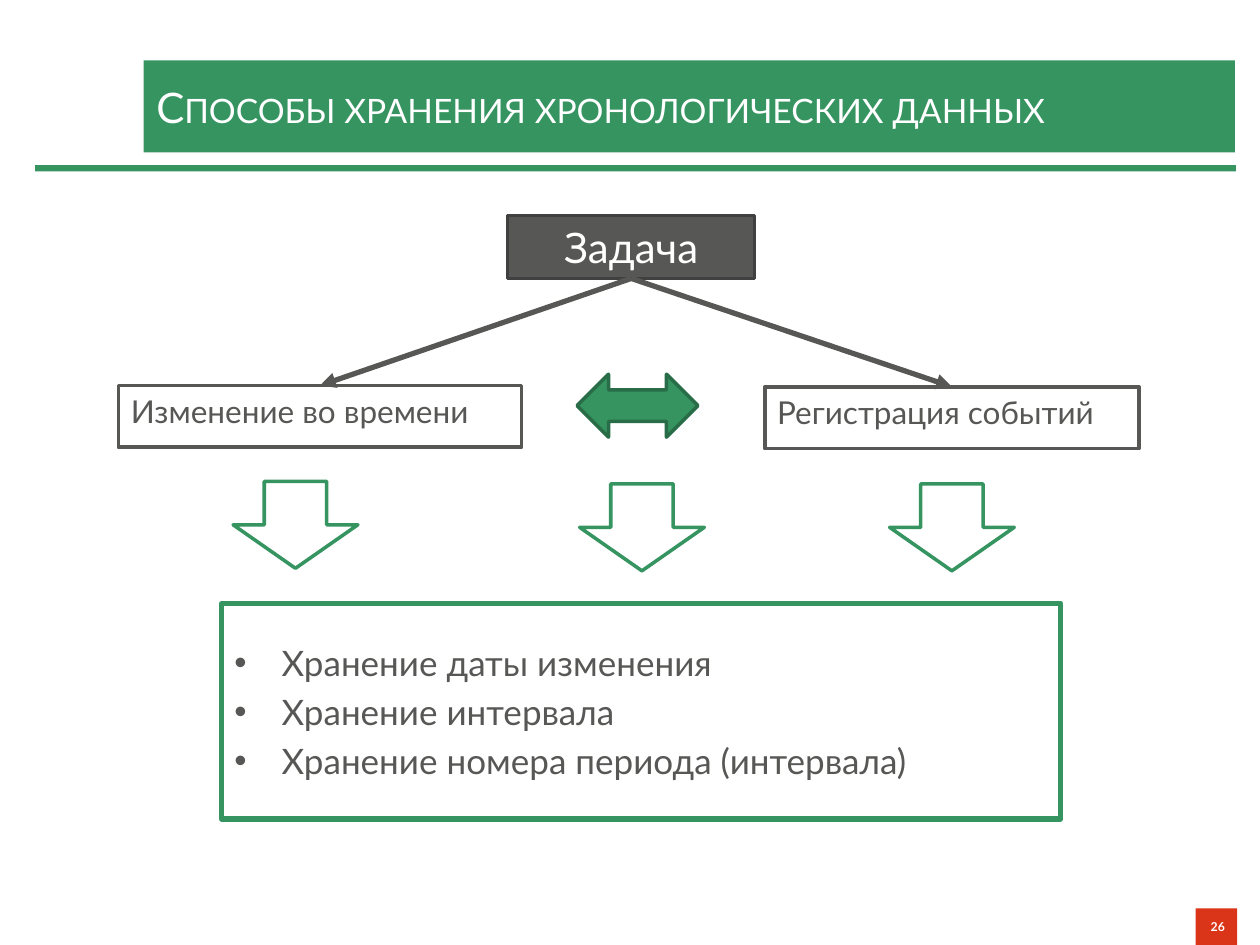
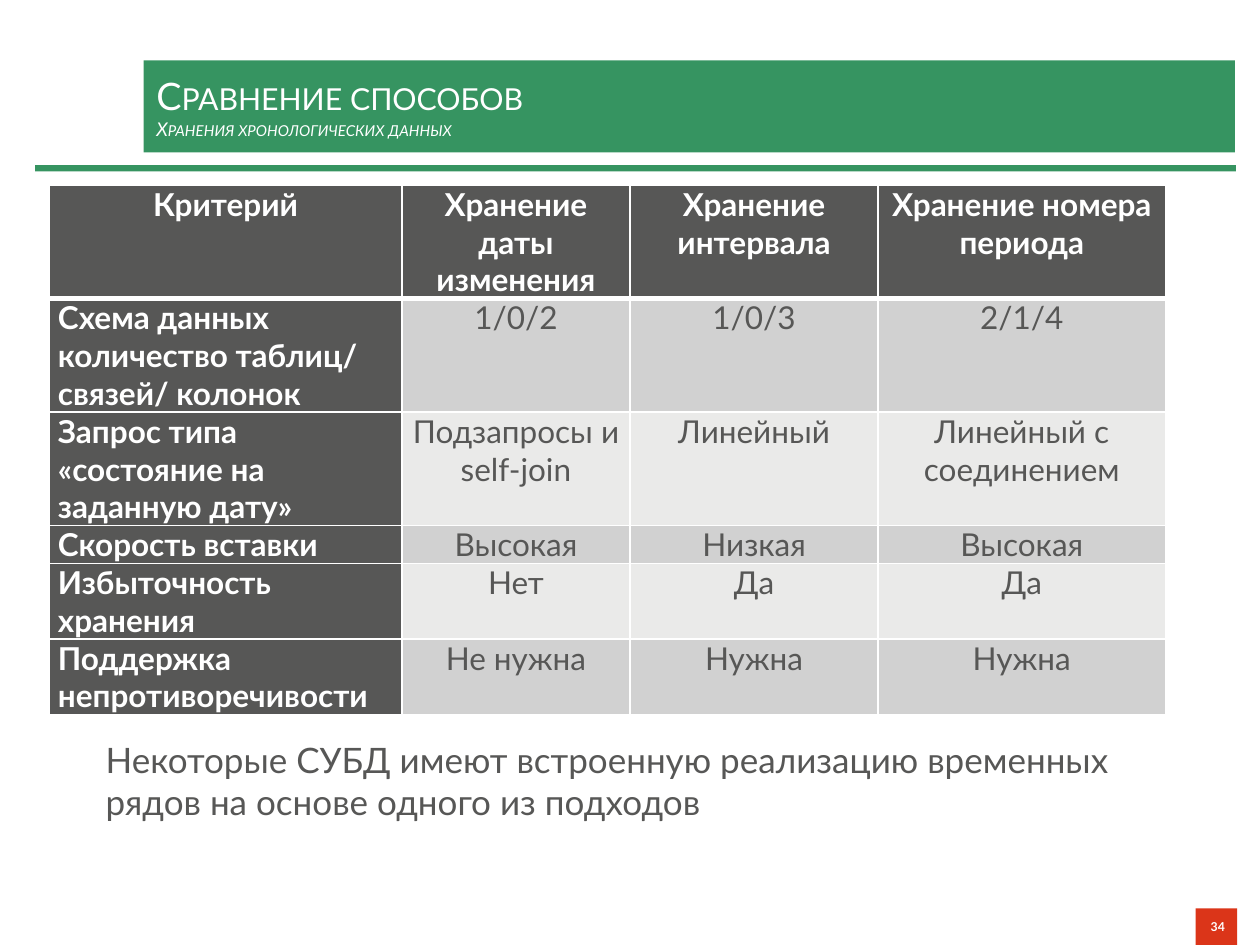
from dataclasses import dataclass

from lxml import etree
from pptx import Presentation, util as u
from pptx.dml import color
from pptx.enum import shapes, text
from pptx.oxml import ns

FONT = "Lato"
COLORS = {
    "green": "369461",
    "dark_green": "286D48",
    "gray": "575756",
    "dark_gray": "404040",
    "white": "FFFFFF",
    "red": "DB3519",
    "band_dark": "D1D1D1",
    "band_light": "EAEAE9",
}
LEFT, CENTER, RIGHT = text.PP_ALIGN.LEFT, text.PP_ALIGN.CENTER, text.PP_ALIGN.RIGHT
TITLE_AND_CONTENT, TITLE_ONLY = 1, 5


@dataclass(frozen=True)
class Area:
    left: float
    top: float
    width: float
    height: float

    def lengths(self) -> list:
        return [u.Inches(n) for n in (self.left, self.top, self.width, self.height)]


@dataclass(frozen=True)
class Block:
    area: Area
    fill: str
    line: str | None = None
    kind: shapes.MSO_SHAPE = shapes.MSO_SHAPE.RECTANGLE
    line_width: float = 2


@dataclass(frozen=True)
class Label:
    words: str
    size: float
    color: str
    align: text.PP_ALIGN = LEFT
    bold: bool = False


RULE = Block(Area(0.28, 1.31, 9.53, 0.05), "green")
TITLE_AREA = Area(1.14, 0.48, 8.66, 0.73)
NUMBER_BOX = Block(Area(9.49, 7.21, 0.33, 0.29), "red")

TASK_BOX = Block(Area(4.03, 1.71, 1.96, 0.5), "gray", "dark_gray")
KIND_BOXES = [
    (Block(Area(0.94, 3.06, 3.2, 0.49), "white", "gray"), "Изменение во времени"),
    (Block(Area(6.07, 3.07, 2.97, 0.49), "white", "gray"), "Регистрация событий"),
]
DOWN_ARROWS = [
    Block(Area(left, top, 0.99, 0.69), "white", "green", shapes.MSO_SHAPE.DOWN_ARROW)
    for left, top in [(1.85, 3.82), (4.6, 3.84), (7.06, 3.84)]
]
DOUBLE_ARROW = Block(
    Area(4.58, 2.97, 0.96, 0.5), "green", "dark_green", shapes.MSO_SHAPE.LEFT_RIGHT_ARROW
)
METHODS_AREA = Area(1.76, 4.79, 6.66, 1.71)
METHODS = ["Хранение даты изменения", "Хранение интервала", "Хранение номера периода (интервала)"]

TABLE_AREA = Area(0.39, 1.47, 8.86, 4.2)
COLUMN_WIDTHS = [2.8, 1.81, 1.97, 2.28]
ROW_HEIGHTS = [0.9, 0.9, 0.9, 0.3, 0.6, 0.6]
COMPARISON = [
    ["Критерий", "Хранение даты изменения", "Хранение интервала", "Хранение номера периода"],
    ["Схема данных\nколичество таблиц/ связей/ колонок", "1/0/2", "1/0/3", "2/1/4"],
    ["Запрос типа «состояние на заданную дату»", "Подзапросы и self-join",
     "Линейный", "Линейный с соединением"],
    ["Скорость вставки", "Высокая", "Низкая", "Высокая"],
    ["Избыточность хранения", "Нет", "Да", "Да"],
    ["Поддержка непротиворечивости", "Не нужна", "Нужна", "Нужна"],
]
NOTE_AREA = Area(0.74, 5.79, 8.51, 0.81)
NOTE = "Некоторые СУБД имеют встроенную реализацию временных рядов на основе одного из подходов"


def rgb(name: str) -> color.RGBColor:
    return color.RGBColor.from_string(COLORS[name])


def place(shape, area: Area) -> None:
    shape.left, shape.top, shape.width, shape.height = area.lengths()


def paint(shape, fill: str) -> None:
    shape.fill.solid()
    shape.fill.fore_color.rgb = rgb(fill)


def outline(shape, line: str, width: float) -> None:
    shape.line.color.rgb = rgb(line)
    shape.line.width = u.Pt(width)


def write(frame, label: Label) -> None:
    frame.text = label.words
    for paragraph in frame.paragraphs:
        paragraph.alignment = label.align
        paragraph.font.name = FONT
        paragraph.font.size = u.Pt(label.size)
        paragraph.font.bold = label.bold
        paragraph.font.color.rgb = rgb(label.color)


def add_block(slide, block: Block):
    shape = slide.shapes.add_shape(block.kind, *block.area.lengths())
    shape.shadow.inherit = False
    paint(shape, block.fill)
    if block.line:
        outline(shape, block.line, block.line_width)
    else:
        shape.line.fill.background()
    return shape


def add_box(slide, block: Block, label: Label, anchor=text.MSO_ANCHOR.TOP):
    shape = add_block(slide, block)
    shape.text_frame.vertical_anchor = anchor
    write(shape.text_frame, label)
    return shape


def add_arrow(slide, source, target) -> None:
    connector = slide.shapes.add_connector(shapes.MSO_CONNECTOR.STRAIGHT, 0, 0, 0, 0)
    connector.begin_connect(source, 2)
    connector.end_connect(target, 0)
    outline(connector, "gray", 3)
    line = connector.line._get_or_add_ln()
    etree.SubElement(line, ns.qn("a:tailEnd"), type="triangle")
    etree.SubElement(connector._element.spPr, ns.qn("a:effectLst"))


def add_slide(presentation, layout: int, number: int, title: str, size: float,
              subtitle: str = ""):
    slide = presentation.slides.add_slide(presentation.slide_layouts[layout])
    add_block(slide, RULE)
    shape = slide.shapes.title
    place(shape, TITLE_AREA)
    paint(shape, "green")
    frame = shape.text_frame
    frame.auto_size = text.MSO_AUTO_SIZE.NONE
    frame.vertical_anchor = text.MSO_ANCHOR.MIDDLE
    frame.margin_left = frame.margin_right = u.Inches(0.1)
    frame.margin_top = frame.margin_bottom = u.Inches(0.12)
    write(frame, Label(title, size, "white"))
    paragraph = frame.paragraphs[0]
    if subtitle:
        paragraph.add_line_break()
        run = paragraph.add_run()
        run.text = subtitle
        run.font.size = u.Pt(size / 2)
        run.font.italic = True
    for run in paragraph.runs:
        run._r.get_or_add_rPr().set("cap", "small")
    add_box(slide, NUMBER_BOX, Label(str(number), 7, "white", RIGHT, True),
            text.MSO_ANCHOR.MIDDLE)
    return slide


def add_borders(cell, bottom_width: float) -> None:
    properties = cell._tc.get_or_add_tcPr()
    for side, width in [("L", 1), ("R", 1), ("T", 1), ("B", bottom_width)]:
        line = etree.SubElement(properties, ns.qn(f"a:ln{side}"), w=str(u.Pt(width)))
        fill = etree.SubElement(line, ns.qn("a:solidFill"))
        etree.SubElement(fill, ns.qn("a:srgbClr"), val=COLORS["white"])


def add_comparison(slide) -> None:
    table = slide.shapes.add_table(
        len(COMPARISON), len(COLUMN_WIDTHS), *TABLE_AREA.lengths()
    ).table
    table.first_col = True
    for column, width in zip(table.columns, COLUMN_WIDTHS):
        column.width = u.Inches(width)
    for row, height in zip(table.rows, ROW_HEIGHTS):
        row.height = u.Inches(height)
    for i, values in enumerate(COMPARISON):
        band = "band_dark" if i % 2 else "band_light"
        for j, value in enumerate(values):
            cell = table.cell(i, j)
            heading = i == 0 or j == 0
            cell.margin_left = cell.margin_right = u.Inches(0.07)
            cell.margin_top = cell.margin_bottom = 0
            add_borders(cell, 3 if i == 0 else 1)
            paint(cell, "gray" if heading else band)
            align = LEFT if i and j == 0 else CENTER
            write(cell.text_frame,
                  Label(value, 18, "white" if heading else "gray", align, heading))


def build_methods(presentation) -> None:
    slide = add_slide(presentation, TITLE_AND_CONTENT, 26,
                      "Способы хранения хронологических данных", 24)
    body = slide.placeholders[1]
    place(body, METHODS_AREA)
    outline(body, "green", 3)
    body.text_frame.auto_size = text.MSO_AUTO_SIZE.NONE
    body.text_frame.vertical_anchor = text.MSO_ANCHOR.MIDDLE
    write(body.text_frame, Label("\n".join(METHODS), 20, "gray"))
    task = add_box(slide, TASK_BOX, Label("Задача", 24, "white", CENTER))
    for block, words in KIND_BOXES:
        add_arrow(slide, task, add_box(slide, block, Label(words, 18, "gray")))
    for block in [*DOWN_ARROWS, DOUBLE_ARROW]:
        add_block(slide, block)


def build_comparison(presentation) -> None:
    slide = add_slide(presentation, TITLE_ONLY, 34, "Сравнение способов", 21.6,
                      "Хранения хронологических данных")
    add_comparison(slide)
    frame = slide.shapes.add_textbox(*NOTE_AREA.lengths()).text_frame
    frame.word_wrap = True
    frame.vertical_anchor = text.MSO_ANCHOR.MIDDLE
    write(frame, Label(NOTE, 20, "gray"))


def main() -> None:
    presentation = Presentation()
    presentation.slide_width = u.Inches(10)
    presentation.slide_height = u.Inches(7.5)
    build_methods(presentation)
    build_comparison(presentation)
    presentation.save("out.pptx")


if __name__ == "__main__":
    main()
